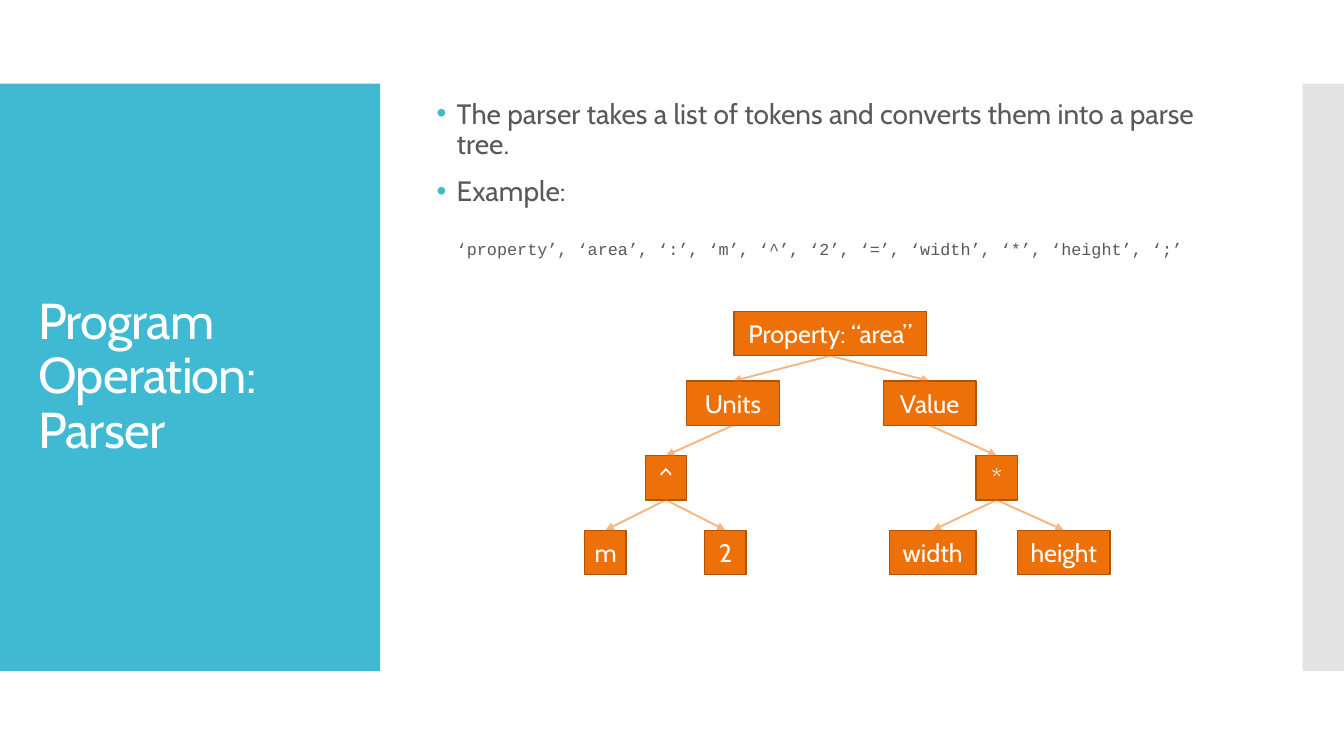
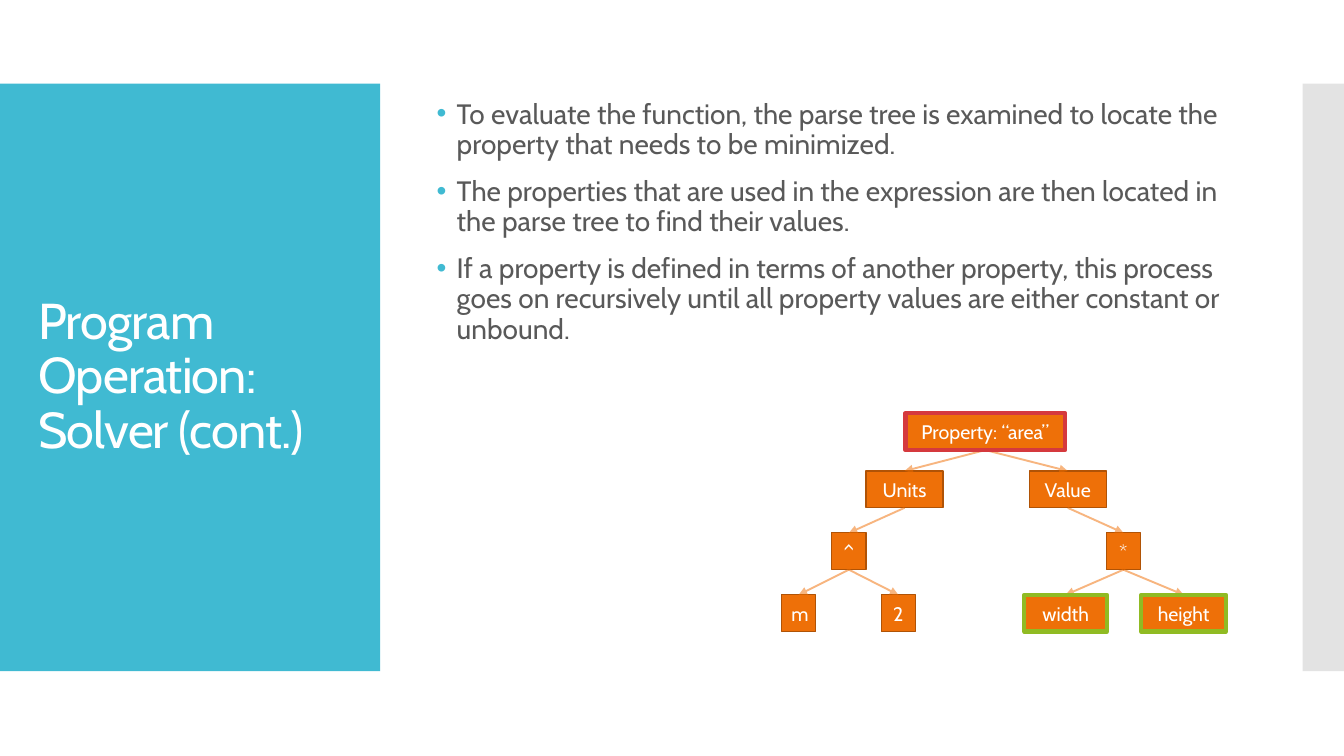
from pptx import Presentation
from pptx.dml.color import RGBColor
from pptx.enum.shapes import MSO_CONNECTOR, MSO_SHAPE
from pptx.enum.text import MSO_ANCHOR, MSO_AUTO_SIZE, PP_ALIGN
from pptx.oxml.ns import qn
from pptx.util import Inches, Pt
from lxml.etree import SubElement

# Colours
TEAL = RGBColor(0x40, 0xBA, 0xD2)
SIDE_GREY = RGBColor(0xC8, 0xC8, 0xC8)
TEXT_GREY = RGBColor(0x59, 0x59, 0x59)
WHITE = RGBColor(0xFF, 0xFF, 0xFF)
NODE_FILL = RGBColor(0xEE, 0x70, 0x08)
NODE_LINE = RGBColor(0xB0, 0x53, 0x06)
ARROW = RGBColor(0xF1, 0x6D, 0x00)
RED = RGBColor(0xD5, 0x39, 0x3D)
GREEN = RGBColor(0x90, 0xBB, 0x23)

# Parse tree: label -> (left offset from the root, width, level)
ROOT = "Property: “area”"
NODES = {
    ROOT: (0, 1.91, 0),
    "Units": (-0.47, 0.92, 1),
    "Value": (1.48, 0.92, 1),
    "^": (-0.88, 0.41, 2),
    "*": (2.4, 0.41, 2),
    "m": (-1.48, 0.41, 3),
    "2": (-0.29, 0.41, 3),
    "width": (1.54, 0.86, 3),
    "height": (2.81, 0.92, 3),
}
EDGES = [(ROOT, "Units"), (ROOT, "Value"), ("Units", "^"), ("Value", "*"),
         ("^", "m"), ("^", "2"), ("*", "width"), ("*", "height")]
LEVEL_TOPS = [0, 0.69, 1.43, 2.17]
NODE_HEIGHT = 0.44


def write_text(frame, text, *, size, color, font="Cabin", align=PP_ALIGN.LEFT,
               line_spacing=1.0, space_before=0, indent=0, bullet=None,
               tracking=None):
    """Write one paragraph, using the empty first one if there is one."""
    paragraph = frame.paragraphs[0]
    if paragraph.runs:
        paragraph = frame.add_paragraph()
    paragraph.alignment = align
    paragraph.line_spacing = line_spacing
    paragraph.space_before = Pt(space_before)
    properties = paragraph._p.get_or_add_pPr()
    properties.set("marL", str(Inches(indent)))
    properties.set("indent", str(-Inches(indent) if bullet else 0))
    if bullet:
        bullet_color = SubElement(properties, qn("a:buClr"))
        SubElement(bullet_color, qn("a:srgbClr"), val=str(TEAL))
        SubElement(properties, qn("a:buFont"), typeface="Arial")
        SubElement(properties, qn("a:buChar"), char=bullet)
    else:
        SubElement(properties, qn("a:buNone"))
    run = paragraph.add_run()
    run.text = text
    run.font.name = font
    run.font.size = Pt(size)
    run.font.color.rgb = color
    if tracking is not None:
        run.font._element.set("spc", str(round(tracking * 100)))


def make_half_transparent(shape):
    for color in shape._element.spPr.iter(qn("a:srgbClr")):
        SubElement(color, qn("a:alpha"), val="50000")


class Deck:
    """Holds the shared style and the slide being built."""

    def __init__(self):
        self.presentation = Presentation()
        self.presentation.slide_width = Inches(13.33)
        self.presentation.slide_height = Inches(7.5)
        self.slide = None

    def rectangle(self, parent, left, top, width, height, fill=None,
                  line=None, line_width=0.85):
        shape = parent.add_shape(MSO_SHAPE.RECTANGLE, Inches(left), Inches(top),
                                 Inches(width), Inches(height))
        shape.shadow.inherit = False
        if fill is None:
            shape.fill.background()
        else:
            shape.fill.solid()
            shape.fill.fore_color.rgb = fill
        if line is None:
            shape.line.fill.background()
        else:
            shape.line.color.rgb = line
            shape.line.width = Pt(line_width)
        return shape

    def placeholder(self, index, left, top, width, height, anchor):
        shape = self.slide.placeholders[index]
        shape.left, shape.top = Inches(left), Inches(top)
        shape.width, shape.height = Inches(width), Inches(height)
        frame = shape.text_frame
        frame.word_wrap = True
        frame.auto_size = MSO_AUTO_SIZE.NONE
        frame.vertical_anchor = anchor
        return frame

    def new_slide(self, title):
        layout = self.presentation.slide_layouts[1]
        self.slide = self.presentation.slides.add_slide(layout)
        shapes = self.slide.shapes
        # Bands, placed behind the placeholders
        title_band = self.rectangle(shapes, 0, 0.83, 3.77, 5.83, TEAL)
        side_band = self.rectangle(shapes, 12.92, 0.83, 0.41, 5.83, SIDE_GREY)
        make_half_transparent(side_band)
        for band in (side_band, title_band):
            shapes._spTree.insert(2, band._element)
        # Title
        frame = self.placeholder(0, 0.28, 1.23, 3.22, 5.03, MSO_ANCHOR.MIDDLE)
        write_text(frame, title, size=36, color=WHITE, line_spacing=0.9,
                   tracking=-0.6)

    def bullets(self, items):
        frame = self.placeholder(1, 4.23, 0.94, 8, 5.6, MSO_ANCHOR.TOP)
        for item in items:
            write_text(frame, item, size=20, color=TEXT_GREY, line_spacing=0.9,
                       space_before=12, indent=0.2, bullet="•")
        return frame

    def code_line(self, frame, text):
        write_text(frame, text, size=12, color=TEXT_GREY, font="Courier New",
                   line_spacing=0.9, space_before=24, indent=0.2)

    def node(self, parent, label, left, top, width, height, size):
        shape = self.rectangle(parent, left, top, width, height, NODE_FILL,
                               NODE_LINE)
        frame = shape.text_frame
        frame.word_wrap = True
        frame.vertical_anchor = MSO_ANCHOR.MIDDLE
        write_text(frame, label, size=size, color=WHITE, align=PP_ALIGN.CENTER)
        return shape

    def arrow(self, parent, start, end):
        """Join the bottom of one node to the top of another."""
        connector = parent.add_connector(
            MSO_CONNECTOR.STRAIGHT,
            start.left + start.width // 2, start.top + start.height,
            end.left + end.width // 2, end.top)
        connector.begin_connect(start, 2)
        connector.end_connect(end, 0)
        connector.line.color.rgb = ARROW
        connector.line.width = Pt(1.35)
        make_half_transparent(connector)
        SubElement(connector.get_or_add_ln(), qn("a:tailEnd"), type="triangle")
        SubElement(connector._element.spPr, qn("a:effectLst"))

    def tree(self, left, top, size, scale=1, adjusted=None):
        """Draw the parse tree; adjusted maps a label to its (left, width)."""
        adjusted = adjusted or {}
        group = self.slide.shapes.add_group_shape().shapes
        nodes = {}
        for label, (offset, width, level) in NODES.items():
            node_left, node_width = adjusted.get(
                label, (left + offset * scale, width * scale))
            nodes[label] = self.node(
                group, label, node_left, top + LEVEL_TOPS[level] * scale,
                node_width, NODE_HEIGHT * scale, size)
        for parent_label, child_label in EDGES:
            self.arrow(group, nodes[parent_label], nodes[child_label])
        return nodes

    def highlight(self, node, color):
        self.rectangle(self.slide.shapes, node.left.inches, node.top.inches,
                       node.width.inches, node.height.inches,
                       line=color, line_width=3)


def main():
    deck = Deck()

    # Parser
    deck.new_slide("Program Operation: Parser")
    body = deck.bullets([
        "The parser takes a list of tokens and converts them into a parse tree.",
        "Example:",
    ])
    deck.code_line(body, "‘property’, ‘area’, ‘:’, ‘m’, ‘^’, ‘2’, ‘=’, "
                         "‘width’, ‘*’, ‘height’, ‘;’")
    deck.tree(7.28, 3.09, size=18)

    # Solver, with the properties it visits highlighted
    deck.new_slide("Program Operation: Solver (cont.)")
    deck.bullets([
        "To evaluate the function, the parse tree is examined to locate the "
        "property that needs to be minimized.",
        "The properties that are used in the expression are then located in "
        "the parse tree to find their values.",
        "If a property is defined in terms of another property, this process "
        "goes on recursively until all property values are either constant or "
        "unbound.",
    ])
    nodes = deck.tree(8.98, 4.1, size=14, scale=0.83,
                      adjusted={"width": (10.16, 0.82), "height": (11.32, 0.84)})
    for label, color in ((ROOT, RED), ("width", GREEN), ("height", GREEN)):
        deck.highlight(nodes[label], color)

    deck.presentation.save("out.pptx")


if __name__ == "__main__":
    main()
